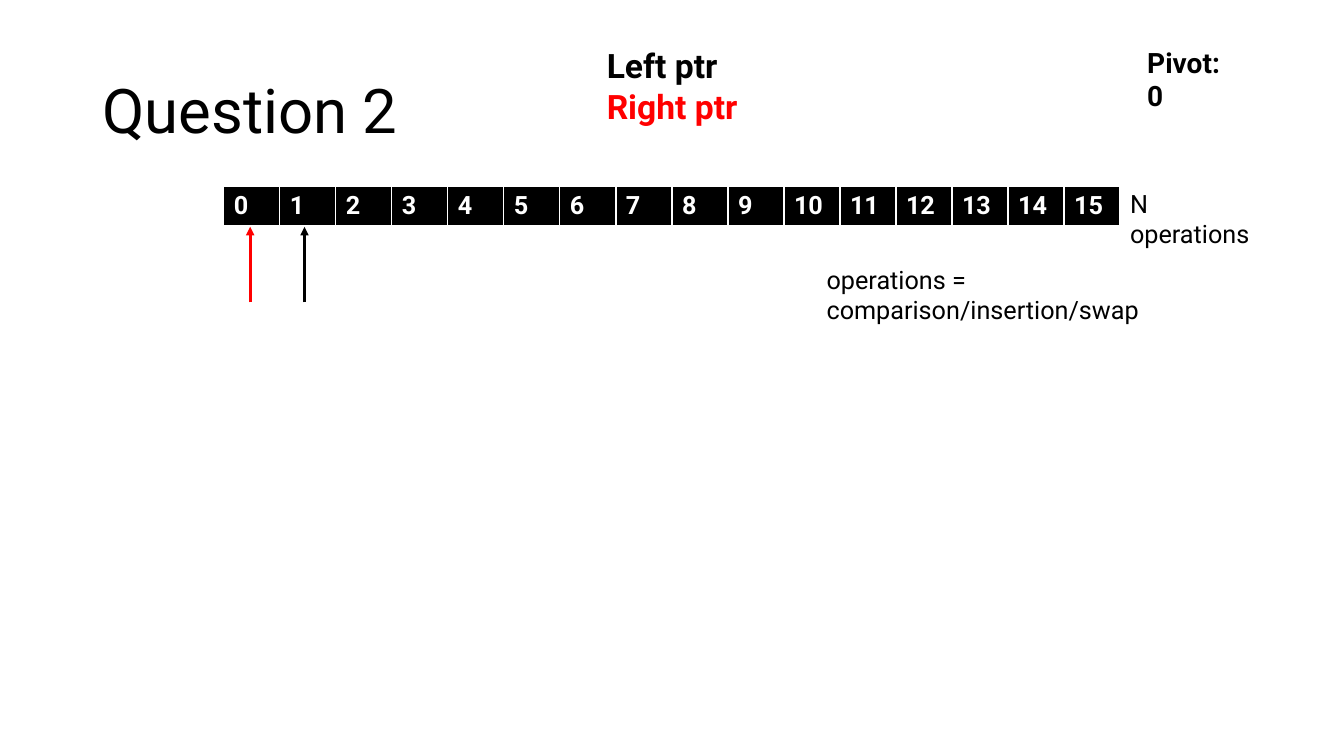
from lxml import etree
from pptx import Presentation
from pptx.dml.color import RGBColor
from pptx.enum.shapes import MSO_CONNECTOR
from pptx.enum.text import MSO_ANCHOR
from pptx.oxml.ns import qn
from pptx.util import Inches, Pt

STRAIGHT = MSO_CONNECTOR.STRAIGHT
TOP, MIDDLE = MSO_ANCHOR.TOP, MSO_ANCHOR.MIDDLE
BLACK = RGBColor(0x00, 0x00, 0x00)
WHITE = RGBColor(0xFF, 0xFF, 0xFF)
RED = RGBColor(0xFF, 0x00, 0x00)
FONT = "Roboto"

# Content: lines of (text, colour), size, bold, anchor, line spacing, box in inches
LABELS = [
    ([("Question 2", BLACK)], 44, False, MIDDLE, 0.9, (0.92, 0.4, 11.5, 1.45)),
    ([("Pivot: 0", BLACK)], 20, True, TOP, 1.0, (11.28, 0.4, 1.14, 0.44)),
    ([("Left ptr", BLACK), ("Right ptr", RED)], 24, True, TOP, 1.0, (5.92, 0.4, 1.5, 0.91)),
    ([("N operations", BLACK)], 18, False, TOP, 1.0, (11.11, 1.82, 1.6, 0.4)),
    ([("operations = comparison/insertion/swap", BLACK)], 18, False, TOP, 1.0,
     (8.1, 2.57, 4.61, 0.4)),
]
ARRAY = list(range(16))
ARRAY_LEFT, ARRAY_TOP, ARRAY_WIDTH, ARRAY_HEIGHT = 2.22, 1.85, 8.89, 0.4
CELL_BORDERS = {"lnL": 1, "lnR": 1, "lnT": 1, "lnB": 3}

# Pointers: (position along the array in cells, colour)
POINTERS = [(1.44, BLACK), (0.47, RED)]
POINTER_LENGTH = 0.75


def write(paragraph, text, size, bold, color):
    run = paragraph.add_run()
    run.text = text
    for attribute, value in {"name": FONT, "size": Pt(size), "bold": bold}.items():
        setattr(run.font, attribute, value)
    run.font.color.rgb = color


def add_label(slide, lines, size, bold, anchor, spacing, box):
    frame = slide.shapes.add_textbox(*map(Inches, box)).text_frame
    frame.word_wrap = True
    frame.vertical_anchor = anchor
    for i, (text, color) in enumerate(lines):
        paragraph = frame.add_paragraph() if i else frame.paragraphs[0]
        paragraph.line_spacing = spacing
        write(paragraph, text, size, bold, color)


def add_borders(cell):
    properties = cell._tc.get_or_add_tcPr()
    for side, width in CELL_BORDERS.items():
        border = etree.SubElement(properties, qn(f"a:{side}"), w=str(Pt(width)))
        fill = etree.SubElement(border, qn("a:solidFill"))
        etree.SubElement(fill, qn("a:srgbClr"), val=str(WHITE))


def add_array(slide):
    box = map(Inches, (ARRAY_LEFT, ARRAY_TOP, ARRAY_WIDTH, ARRAY_HEIGHT))
    table = slide.shapes.add_table(1, len(ARRAY), *box).table
    for column, value in enumerate(ARRAY):
        table.columns[column].width = Inches(ARRAY_WIDTH / len(ARRAY))
        cell = table.cell(0, column)
        add_borders(cell)
        cell.fill.solid()
        cell.fill.fore_color.rgb = BLACK
        write(cell.text_frame.paragraphs[0], str(value), 18, True, WHITE)


def add_pointer(slide, position, color):
    x = Inches(ARRAY_LEFT + position * ARRAY_WIDTH / len(ARRAY))
    tip = ARRAY_TOP + ARRAY_HEIGHT
    arrow = slide.shapes.add_connector(STRAIGHT, x, Inches(tip + POINTER_LENGTH), x, Inches(tip))
    arrow.line.color.rgb = color
    arrow.line.width = Pt(2)
    etree.SubElement(arrow.line._get_or_add_ln(), qn("a:tailEnd"), type="triangle")
    etree.SubElement(arrow._element.spPr, qn("a:effectLst"))


def main():
    prs = Presentation()
    prs.slide_width, prs.slide_height = Inches(13.33), Inches(7.5)
    slide = prs.slides.add_slide(prs.slide_layouts[6])
    # Array under the title
    add_array(slide)
    # Title, legend and notes on cost
    for label in LABELS:
        add_label(slide, *label)
    # Left and right pointers
    for position, color in POINTERS:
        add_pointer(slide, position, color)
    prs.save("out.pptx")


if __name__ == "__main__":
    main()
